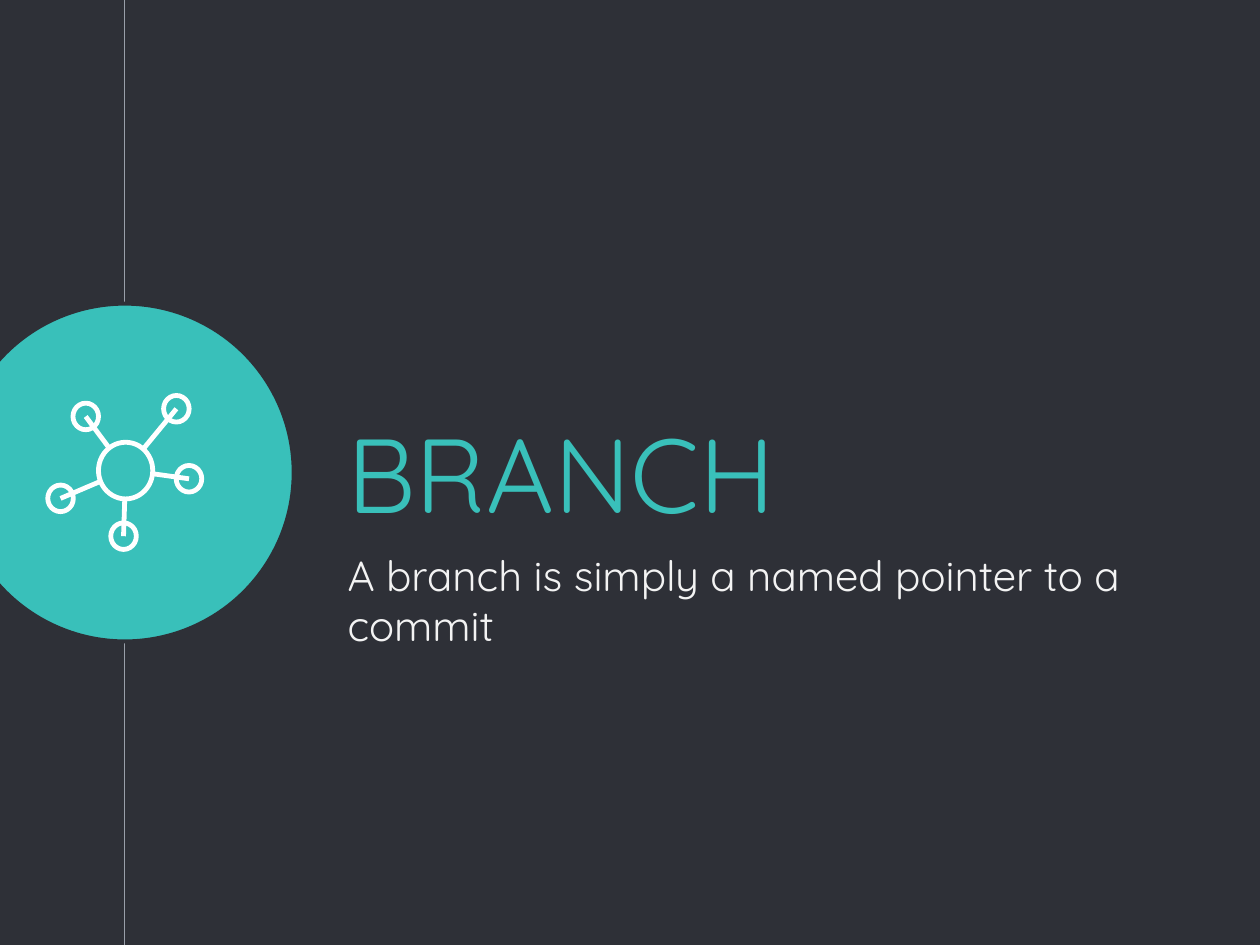
from dataclasses import dataclass

from lxml import etree
from pptx import Presentation
from pptx import util as u
from pptx.dml.color import RGBColor
from pptx.enum import shapes, text
from pptx.oxml.ns import qn

HUES = {
    "back": "2E3037",
    "rule": "999FA9",
    "teal": "39C0BA",
    "pale": "F3F3F3",
    "white": "FFFFFF",
}
FONT = "Quicksand"
PEN = 2.75


@dataclass
class Node:
    """Centre of an outer node, and the point where its spoke meets the hub."""
    x: float
    y: float
    hub_x: float
    hub_y: float


@dataclass
class Label:
    words: str
    top: float
    high: float
    size: float
    hue: str
    anchor: text.MSO_ANCHOR


NODES = [
    Node(100.8, 233.6, 82.1, 256.3),
    Node(49, 238, 62.6, 256.3),
    Node(34.6, 284.8, 57.6, 275),
    Node(70.6, 306.4, 71.3, 285.1),
    Node(108, 273.6, 87.1, 270.7),
]
LABELS = [
    Label("BRANCH", 208.8, 121.7, 60, "teal", text.MSO_ANCHOR.MIDDLE),
    Label("A branch is simply a named pointer to a commit",
          306.7, 82.1, 24, "pale", text.MSO_ANCHOR.TOP),
]


def shade(hue: str) -> RGBColor:
    return RGBColor.from_string(HUES[hue])


def draw_line(slide, x1: float, y1: float, x2: float, y2: float,
              hue: str, width: float) -> None:
    line = slide.shapes.add_connector(
        shapes.MSO_CONNECTOR.STRAIGHT, u.Pt(x1), u.Pt(y1), u.Pt(x2), u.Pt(y2))
    line.line.color.rgb = shade(hue)
    line.line.width = u.Pt(width)
    etree.SubElement(line._element.spPr, qn("a:effectLst"))


def draw_oval(slide, x: float, y: float, wide: float, high: float,
              hue: str, width: float, fill: str | None = None) -> None:
    """Draw an ellipse around the centre x, y."""
    oval = slide.shapes.add_shape(
        shapes.MSO_SHAPE.OVAL, u.Pt(x - wide / 2), u.Pt(y - high / 2),
        u.Pt(wide), u.Pt(high))
    oval.shadow.inherit = False
    if fill:
        oval.fill.solid()
        oval.fill.fore_color.rgb = shade(fill)
    else:
        oval.fill.background()
    oval.line.color.rgb = shade(hue)
    oval.line.width = u.Pt(width)


def draw_label(slide, label: Label) -> None:
    box = slide.shapes.add_textbox(
        u.Pt(191.5), u.Pt(label.top), u.Pt(474.5), u.Pt(label.high))
    frame = box.text_frame
    frame.word_wrap = True
    frame.vertical_anchor = label.anchor
    frame.margin_left = frame.margin_right = u.Pt(7.2)
    frame.margin_top = frame.margin_bottom = u.Pt(7.2)
    frame.text = label.words
    font = frame.paragraphs[0].runs[0].font
    font.name = FONT
    font.size = u.Pt(label.size)
    font.color.rgb = shade(label.hue)


def main() -> None:
    deck = Presentation()
    deck.slide_width, deck.slide_height = u.Pt(720), u.Pt(540)
    slide = deck.slides.add_slide(deck.slide_layouts[6])
    slide.background.fill.solid()
    slide.background.fill.fore_color.rgb = shade("back")

    draw_line(slide, 71.3, 0, 71.3, 540, "rule", 0.75)
    draw_oval(slide, 71.3, 270, 193, 193, "back", 2.25, "teal")
    for label in LABELS:
        draw_label(slide, label)
    for node in NODES:
        draw_oval(slide, node.x, node.y, 14.6, 15.2, "white", PEN)
        draw_line(slide, node.x, node.y, node.hub_x, node.hub_y, "white", PEN)
    draw_oval(slide, 71.8, 268.9, 31, 32.4, "white", PEN)

    deck.save("out.pptx")


if __name__ == "__main__":
    main()
